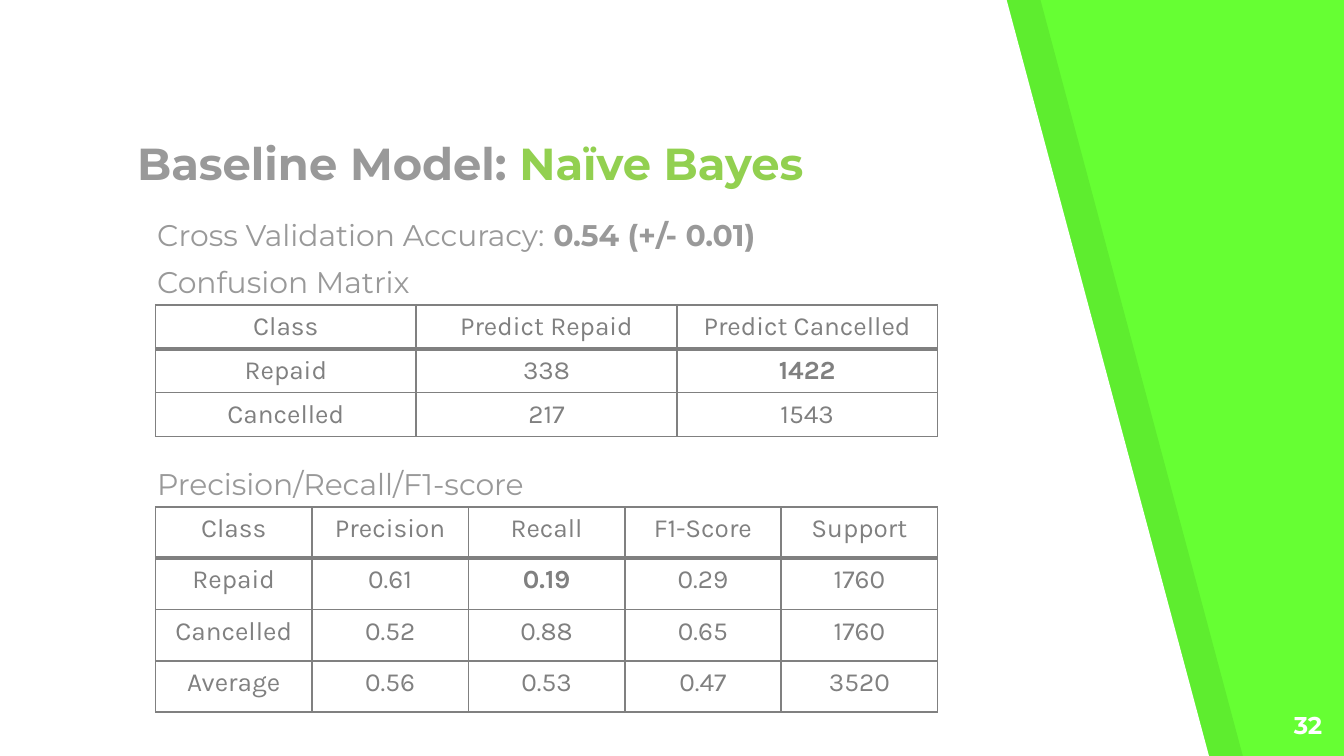
import pptx
import pptx.dml.color
import pptx.enum.text
import pptx.oxml
import pptx.oxml.ns
import pptx.util
from pptx.util import Cm

RGBColor = pptx.dml.color.RGBColor
GREEN = RGBColor(0x66, 0xFF, 0x33)
LEAF = RGBColor(0x92, 0xD0, 0x50)
WHITE = RGBColor(0xFF, 0xFF, 0xFF)
BLACK = RGBColor(0, 0, 0)
TEXT_GREY = RGBColor(0x99, 0x99, 0x99)
TABLE_GREY = RGBColor(0x80, 0x80, 0x80)
ALIGN = pptx.enum.text.PP_ALIGN
ANCHOR = pptx.enum.text.MSO_ANCHOR

CONFUSION = [
    ["Class", "Predict Repaid", "Predict Cancelled"],
    ["Repaid", "338", "1422"],
    ["Cancelled", "217", "1543"],
]
SCORES = [
    ["Class", "Precision", "Recall", "F1-Score", "Support"],
    ["Repaid", "0.61", "0.19", "0.29", "1760"],
    ["Cancelled", "0.52", "0.88", "0.65", "1760"],
    ["Average", "0.56", "0.53", "0.47", "3520"],
]


def style(paragraph, size, color, face="Montserrat", bold=False, align=ALIGN.LEFT):
    paragraph.alignment = align
    font = paragraph.font
    font.name, font.size, font.bold = face, pptx.util.Pt(size), bold
    font.color.rgb = color


def place(shape, box, anchor=ANCHOR.TOP):
    """Put a text shape in its box and return its text frame."""
    shape.left, shape.top, shape.width, shape.height = box
    frame = shape.text_frame
    frame.word_wrap = True
    frame.auto_size = pptx.enum.text.MSO_AUTO_SIZE.NONE
    frame.vertical_anchor = anchor
    frame.margin_left = frame.margin_right = Cm(0.25)
    frame.margin_top = frame.margin_bottom = Cm(0.25)
    return frame


def add_slanted_panel(slide, box, color, depth, alpha=None):
    """Panel with a slanted right edge, kept behind the text at the given depth."""
    left, top, width, height = box
    right = left + width
    builder = slide.shapes.build_freeform(left, top)
    builder.add_line_segments(
        [(left, top + height), (right, top + height), (right - Cm(3.84), top)]
    )
    panel = builder.convert_to_shape()
    panel.shadow.inherit = False
    panel.fill.solid()
    panel.fill.fore_color.rgb = color
    panel.line.fill.background()
    if alpha is not None:
        srgb = panel.fill._xPr.find(".//" + pptx.oxml.ns.qn("a:srgbClr"))
        srgb.append(pptx.oxml.parse_xml(
            f'<a:alpha {pptx.oxml.ns.nsdecls("a")} val="{alpha * 1000}"/>'))
    slide.shapes._spTree.insert(2 + depth, panel._element)


def add_heading(slide, box):
    heading = place(slide.shapes.title, box, ANCHOR.BOTTOM).paragraphs[0]
    heading.add_run().text = "Baseline Model: "
    model = heading.add_run()
    model.text = "Naïve Bayes"
    style(heading, 24, TEXT_GREY, bold=True)
    model.font.color.rgb = LEAF


def add_captions(slide, box):
    frame = place(slide.placeholders[1], box)
    frame.text = "Cross Validation Accuracy:\nConfusion Matrix\nPrecision/Recall/F1-score"
    for caption, gap in zip(frame.paragraphs, (0, 6, 89)):
        style(caption, 16, TEXT_GREY)
        caption.space_before = pptx.util.Pt(gap)
        properties = caption._p.get_or_add_pPr()
        properties.set("marL", "0")
        properties.set("indent", "0")
        bullet = pptx.oxml.parse_xml(f'<a:buNone {pptx.oxml.ns.nsdecls("a")}/>')
        properties.find(pptx.oxml.ns.qn("a:defRPr")).addprevious(bullet)
    accuracy = frame.paragraphs[0].add_run()
    accuracy.text = " 0.54 (+/- 0.01)"
    accuracy.font.bold = True


def set_borders(cell, top, bottom):
    """Draw the four cell borders; top and bottom are widths in points."""
    properties = cell._tc.get_or_add_tcPr()
    for side, width in (("L", 1), ("R", 1), ("T", top), ("B", bottom)):
        properties.append(pptx.oxml.parse_xml(
            f'<a:ln{side} {pptx.oxml.ns.nsdecls("a")} w="{pptx.util.Pt(width)}">'
            f'<a:solidFill><a:srgbClr val="{TABLE_GREY}"/></a:solidFill></a:ln{side}>'))


def add_results_table(slide, box, rows, highlight):
    """Bordered table with a heavy rule under its header and one bold cell."""
    left, top, width, height = box
    table = slide.shapes.add_table(len(rows), len(rows[0]), *box).table
    table.first_row = table.horz_banding = False
    for column in table.columns:
        column.width = width // len(rows[0])
    for row_index, values in enumerate(rows):
        table.rows[row_index].height = height // len(rows)
        for column_index, value in enumerate(values):
            cell = table.cell(row_index, column_index)
            cell.text = value
            style(cell.text_frame.paragraphs[0], 14, TABLE_GREY, "Karla",
                  (row_index, column_index) == highlight, ALIGN.CENTER)
            set_borders(cell, 2.25 if row_index == 1 else 1,
                        2.25 if row_index == 0 else 1)
            cell.fill.background()


def add_page_number(slide, box):
    number = place(slide.shapes.add_textbox(*box), box).paragraphs[0]
    number.text = "32"
    style(number, 13, WHITE, bold=True, align=ALIGN.RIGHT)


def main():
    deck = pptx.Presentation()
    deck.slide_width, deck.slide_height = Cm(25.4), Cm(14.29)
    slide = deck.slides.add_slide(deck.slide_layouts[1])

    # Green background with a white panel and its darker edge
    slide.background.fill.solid()
    slide.background.fill.fore_color.rgb = GREEN
    panel_size = (Cm(22.86), Cm(14.35))
    add_slanted_panel(slide, (Cm(0.64), Cm(-0.02), *panel_size), BLACK, 0, alpha=7)
    add_slanted_panel(slide, (Cm(0), Cm(-0.02), *panel_size), WHITE, 1)

    # Text
    add_heading(slide, (Cm(2.34), Cm(2.21), Cm(17.83), Cm(1.63)))
    add_captions(slide, (Cm(2.72), Cm(3.84), Cm(14.4), Cm(8.18)))
    add_page_number(slide, (Cm(23.72), Cm(13.18), Cm(1.52), Cm(1.09)))

    # Result tables
    add_results_table(slide, (Cm(2.94), Cm(9.58), Cm(14.78), Cm(3.88)), SCORES, (1, 2))
    add_results_table(slide, (Cm(2.94), Cm(5.76), Cm(14.78), Cm(2.49)), CONFUSION, (1, 2))

    deck.save("out.pptx")


if __name__ == "__main__":
    main()
